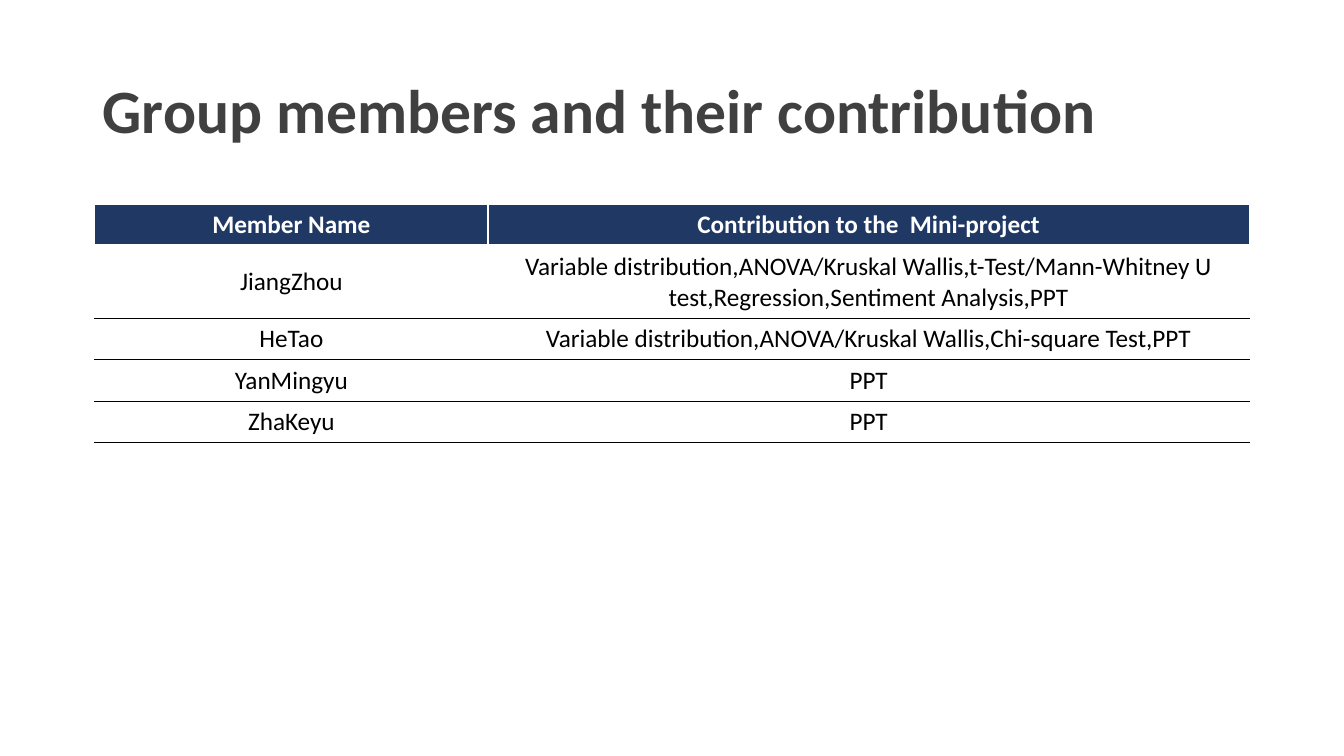
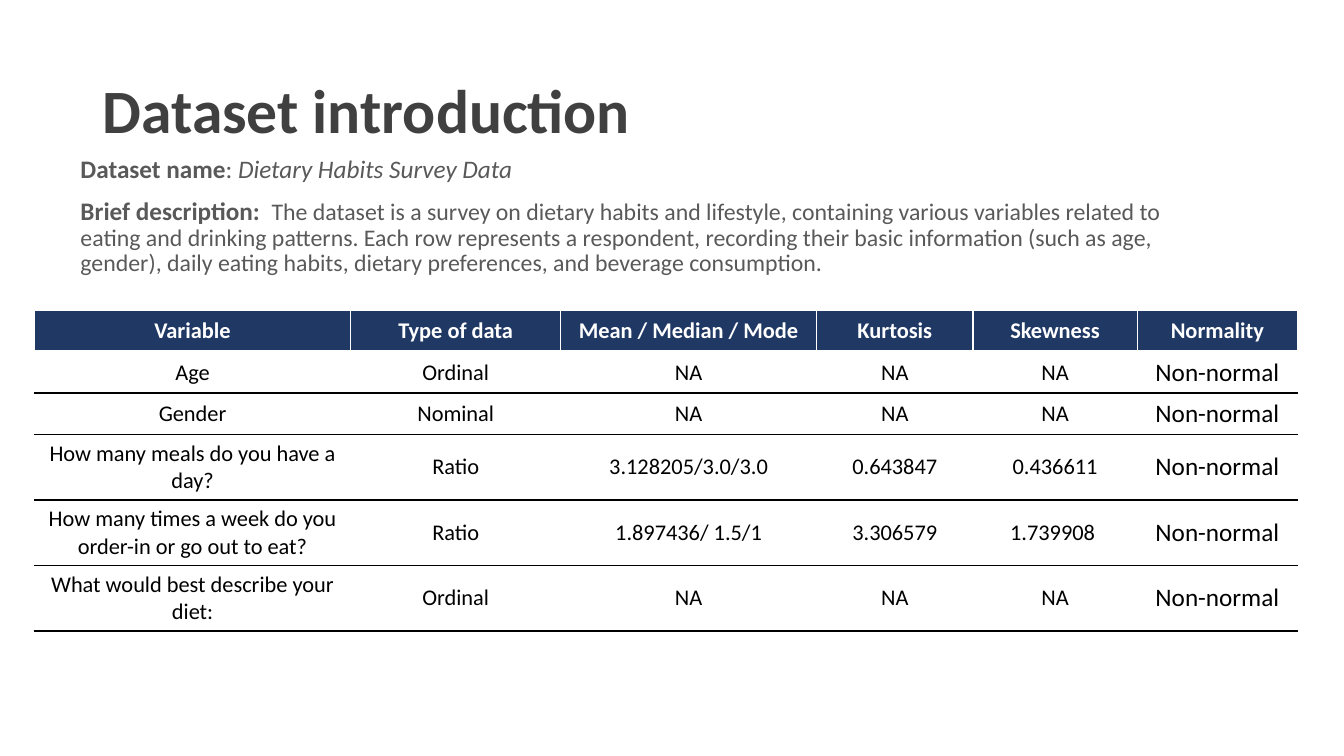
from dataclasses import dataclass

from lxml import etree
from pptx import Presentation
from pptx.dml.color import RGBColor
from pptx.enum.text import MSO_ANCHOR, PP_ALIGN
from pptx.oxml.ns import qn
from pptx.slide import Slide
from pptx.table import _Cell
from pptx.text.text import Font
from pptx.util import Inches, Pt

CENTER = PP_ALIGN.CENTER
LEFT = PP_ALIGN.LEFT
MIDDLE = MSO_ANCHOR.MIDDLE
TOP = MSO_ANCHOR.TOP

FONT = "Calibri"
WHITE = "FFFFFF"
BLACK = "000000"
NAVY = "203864"
TITLE_GRAY = "404040"
BODY_GRAY = "595959"

ROW_HEIGHT = 0.41
BLANK_LAYOUT = 6


@dataclass
class TextRun:
    text: str
    size: float = 18
    bold: bool = False
    italic: bool = False
    color: str = BODY_GRAY


@dataclass
class TableSpec:
    left: float
    top: float
    column_widths: list[float]
    header_size: float
    body_sizes: list[float]
    rows: list[list[str]]
    tall_rows: dict[int, float]


MEMBERS = TableSpec(
    left=0.94,
    top=2.03,
    column_widths=[3.9, 7.55],
    header_size=18,
    body_sizes=[18, 18],
    rows=[
        ["Member Name", "Contribution to the  Mini-project"],
        ["JiangZhou", "Variable distribution,ANOVA/Kruskal Wallis,t-Test/Mann-Whitney U "
                      "test,Regression,Sentiment Analysis,PPT"],
        ["HeTao", "Variable distribution,ANOVA/Kruskal Wallis,Chi-square Test,PPT"],
        ["YanMingyu", "PPT"],
        ["ZhaKeyu", "PPT"],
    ],
    tall_rows={1: 0.72},
)

VARIABLES = TableSpec(
    left=0.34,
    top=3.08,
    column_widths=[3.14, 2.08, 2.54, 1.55, 1.63, 1.59],
    header_size=16,
    body_sizes=[16, 16, 16, 16, 16, 18],
    rows=[
        ["Variable", "Type of data", "Mean / Median / Mode", "Kurtosis", "Skewness", "Normality"],
        ["Age", "Ordinal", "NA", "NA", "NA", "Non-normal"],
        ["Gender", "Nominal", "NA", "NA", "NA", "Non-normal"],
        ["How many meals do you have a day?", "Ratio", "3.128205/3.0/3.0",
         "0.643847", "0.436611", "Non-normal"],
        ["How many times a week do you order-in or go out to eat?", "Ratio", "1.897436/ 1.5/1",
         "3.306579", "1.739908 ", "Non-normal"],
        ["What would best describe your diet:", "Ordinal", "NA", "NA", "NA", "Non-normal"],
    ],
    tall_rows={3: 0.65, 4: 0.65, 5: 0.65},
)

DESCRIPTION = [
    [
        TextRun("Dataset name", bold=True),
        TextRun(": "),
        TextRun("Dietary Habits Survey Data", italic=True),
    ],
    [
        TextRun("Brief description:  ", bold=True),
        TextRun(
            "The dataset is a survey on dietary habits and lifestyle, containing various "
            "variables related to eating and drinking patterns. Each row represents a "
            "respondent, recording their basic information (such as age, gender), daily "
            "eating habits, dietary preferences, and beverage consumption.",
            size=17,
        ),
    ],
]


def rgb(color: str) -> RGBColor:
    return RGBColor.from_string(color)


def style_font(font: Font, size: float, color: str, bold: bool, italic: bool = False) -> None:
    font.name = FONT
    font.size = Pt(size)
    font.color.rgb = rgb(color)
    font.bold = bold
    font.italic = italic


def add_text(slide: Slide, box: tuple[float, float, float, float],
             paragraphs: list[list[TextRun]], anchor: MSO_ANCHOR) -> None:
    frame = slide.shapes.add_textbox(*map(Inches, box)).text_frame
    frame.word_wrap = True
    frame.vertical_anchor = anchor
    for index, text_runs in enumerate(paragraphs):
        paragraph = frame.add_paragraph() if index else frame.paragraphs[0]
        paragraph.alignment = LEFT
        paragraph.line_spacing = 0.9
        paragraph.space_before = Pt(10 if index else 0)
        for text_run in text_runs:
            run = paragraph.add_run()
            run.text = text_run.text
            style_font(run.font, text_run.size, text_run.color, text_run.bold, text_run.italic)


def add_titled_slide(presentation: Presentation, title: str) -> Slide:
    slide = presentation.slides.add_slide(presentation.slide_layouts[BLANK_LAYOUT])
    title_run = TextRun(title, size=44, bold=True, color=TITLE_GRAY)
    add_text(slide, (0.92, 0.4, 11.5, 1.45), [[title_run]], MIDDLE)
    return slide


def set_border(cell: _Cell, side: str, color: str, width: float = 1) -> None:
    """Draw one cell edge; side is L, R, T or B. Call in that order, before the fill."""
    properties = cell._tc.get_or_add_tcPr()
    line = etree.SubElement(properties, qn(f"a:ln{side}"), w=str(Pt(width)))
    fill = etree.SubElement(line, qn("a:solidFill"))
    etree.SubElement(fill, qn("a:srgbClr"), val=color)


def style_cell(cell: _Cell, row_index: int, size: float) -> None:
    is_header = row_index == 0
    set_border(cell, "L", WHITE)
    set_border(cell, "R", WHITE)
    set_border(cell, "T", BLACK if row_index > 1 else WHITE)
    set_border(cell, "B", WHITE if is_header else BLACK, 3 if is_header else 1)
    cell.fill.solid()
    cell.fill.fore_color.rgb = rgb(NAVY if is_header else WHITE)
    cell.vertical_anchor = MIDDLE
    paragraph = cell.text_frame.paragraphs[0]
    paragraph.alignment = CENTER
    style_font(paragraph.font, size, WHITE if is_header else BLACK, is_header)


def add_ruled_table(slide: Slide, spec: TableSpec) -> None:
    heights = [spec.tall_rows.get(index, ROW_HEIGHT) for index in range(len(spec.rows))]
    table = slide.shapes.add_table(
        len(spec.rows), len(spec.column_widths), Inches(spec.left), Inches(spec.top),
        Inches(sum(spec.column_widths)), Inches(sum(heights)),
    ).table
    table.horz_banding = False
    for column, width in zip(table.columns, spec.column_widths):
        column.width = Inches(width)
    for row_index, texts in enumerate(spec.rows):
        table.rows[row_index].height = Inches(heights[row_index])
        for column_index, text in enumerate(texts):
            cell = table.cell(row_index, column_index)
            cell.text = text
            size = spec.body_sizes[column_index] if row_index else spec.header_size
            style_cell(cell, row_index, size)


def main() -> None:
    presentation = Presentation()
    presentation.slide_width = Inches(13.33)
    presentation.slide_height = Inches(7.5)

    members_slide = add_titled_slide(presentation, "Group members and their contribution")
    add_ruled_table(members_slide, MEMBERS)

    dataset_slide = add_titled_slide(presentation, "Dataset introduction")
    add_ruled_table(dataset_slide, VARIABLES)
    add_text(dataset_slide, (0.7, 1.51, 11.5, 1.4), DESCRIPTION, TOP)

    presentation.save("out.pptx")


if __name__ == "__main__":
    main()
